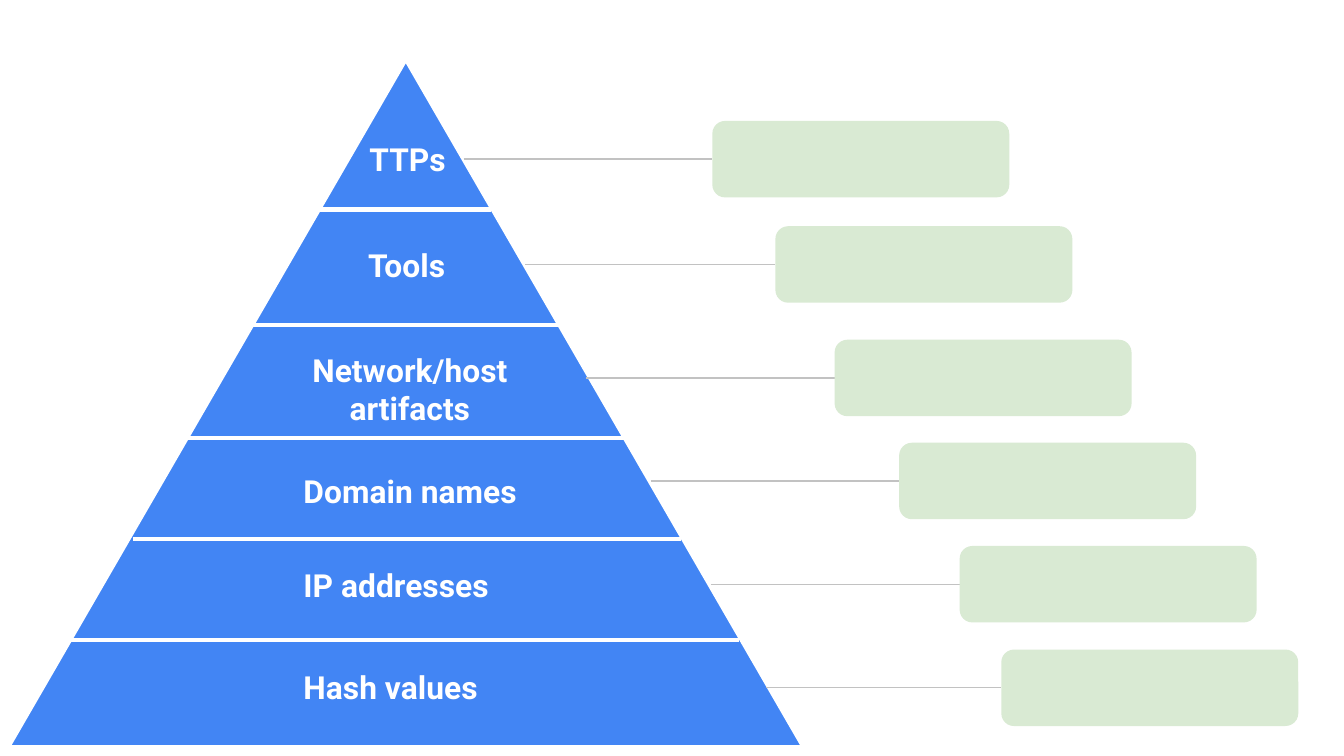
"""Builds a six-level pyramid slide with an empty callout box beside each level."""
from lxml import etree
from pptx import Presentation
from pptx import util as u
from pptx.dml.color import RGBColor
from pptx.enum import shapes, text
from pptx.oxml import ns

COLORS = {"pyramid": "4285F4", "white": "FFFFFF", "connector": "C2C2C2", "callout": "D9EAD3"}
FONT = "Roboto"
FONT_SIZE = 17
INSET = 7.2
CALLOUT_WIDTH, CALLOUT_HEIGHT = 159.1, 41

DIVIDERS = [
    (171.4, 262.8, 112.3),
    (135.4, 300.2, 174.2),
    (100.1, 334.1, 234.7),
    (71.3, 365, 288.7),
    (38.2, 396, 342.7),
]
LEFT, CENTER = text.PP_ALIGN.LEFT, text.PP_ALIGN.CENTER
LABELS = [
    ("TTPs", 190.8, 67.7, 63.4, 35.3, LEFT),
    ("Tools", 190.1, 124.6, 63.4, 35.3, LEFT),
    ("Network/host artifacts", 141.1, 180.7, 157, 55.4, CENTER),
    ("Domain names", 155.5, 245.5, 161.3, 35.3, LEFT),
    ("IP addresses", 155.5, 295.9, 161.3, 35.3, LEFT),
    ("Hash values", 155.5, 350.6, 161.3, 35.3, LEFT),
]
CALLOUTS = [
    (248.4, 381.6, 64.8),
    (281.5, 415.4, 121.2),
    (313.9, 447.1, 182),
    (348.5, 481.7, 237.2),
    (380.9, 514.1, 292.5),
    (410.4, 536.4, 348),
]


def color(name):
    return RGBColor.from_string(COLORS[name])


def add_filled_shape(parent, kind, left, top, width, height, fill):
    shape = parent.add_shape(kind, u.Pt(left), u.Pt(top), u.Pt(width), u.Pt(height))
    shape.shadow.inherit = False
    shape.fill.solid()
    shape.fill.fore_color.rgb = color(fill)
    shape.line.fill.background()
    return shape


def add_line(parent, kind, left, right, y, line_color, width):
    line = parent.add_connector(kind, u.Pt(left), u.Pt(y), u.Pt(right), u.Pt(y))
    line.line.color.rgb = color(line_color)
    line.line.width = u.Pt(width)
    etree.SubElement(line._element.spPr, ns.qn("a:effectLst"))
    return line


def add_pyramid(slide):
    group = slide.shapes.add_group_shape().shapes
    triangle = add_filled_shape(
        group, shapes.MSO_SHAPE.ISOSCELES_TRIANGLE, 4.3, 31.7, 426.2, 368.6, "pyramid"
    )
    triangle.line.color.rgb = color("white")
    triangle.line.width = u.Pt(2.25)
    for left, right, y in DIVIDERS:
        add_line(group, shapes.MSO_CONNECTOR.STRAIGHT, left, right, y, "white", 2.25)


def add_label(slide, wording, left, top, width, height, alignment):
    label = slide.shapes.add_textbox(u.Pt(left), u.Pt(top), u.Pt(width), u.Pt(height))
    frame = label.text_frame
    frame.text = wording
    frame.word_wrap = True
    frame.auto_size = text.MSO_AUTO_SIZE.SHAPE_TO_FIT_TEXT
    frame.margin_left = frame.margin_right = u.Pt(INSET)
    frame.margin_top = frame.margin_bottom = u.Pt(INSET)
    paragraph = frame.paragraphs[0]
    paragraph.alignment = alignment
    font = paragraph.runs[0].font
    font.name = FONT
    font.size = u.Pt(FONT_SIZE)
    font.bold = True
    font.color.rgb = color("white")


def add_callout(slide, start, left, top):
    middle = top + CALLOUT_HEIGHT / 2
    add_line(slide.shapes, shapes.MSO_CONNECTOR.ELBOW, start, left, middle, "connector", 0.75)
    add_filled_shape(
        slide.shapes, shapes.MSO_SHAPE.ROUNDED_RECTANGLE,
        left, top, CALLOUT_WIDTH, CALLOUT_HEIGHT, "callout",
    )


def main():
    presentation = Presentation()
    presentation.slide_width = u.Pt(720)
    presentation.slide_height = u.Pt(405)
    slide = presentation.slides.add_slide(presentation.slide_layouts[6])
    add_pyramid(slide)
    for label in LABELS:
        add_label(slide, *label)
    for callout in CALLOUTS:
        add_callout(slide, *callout)
    presentation.save("out.pptx")


if __name__ == "__main__":
    main()
